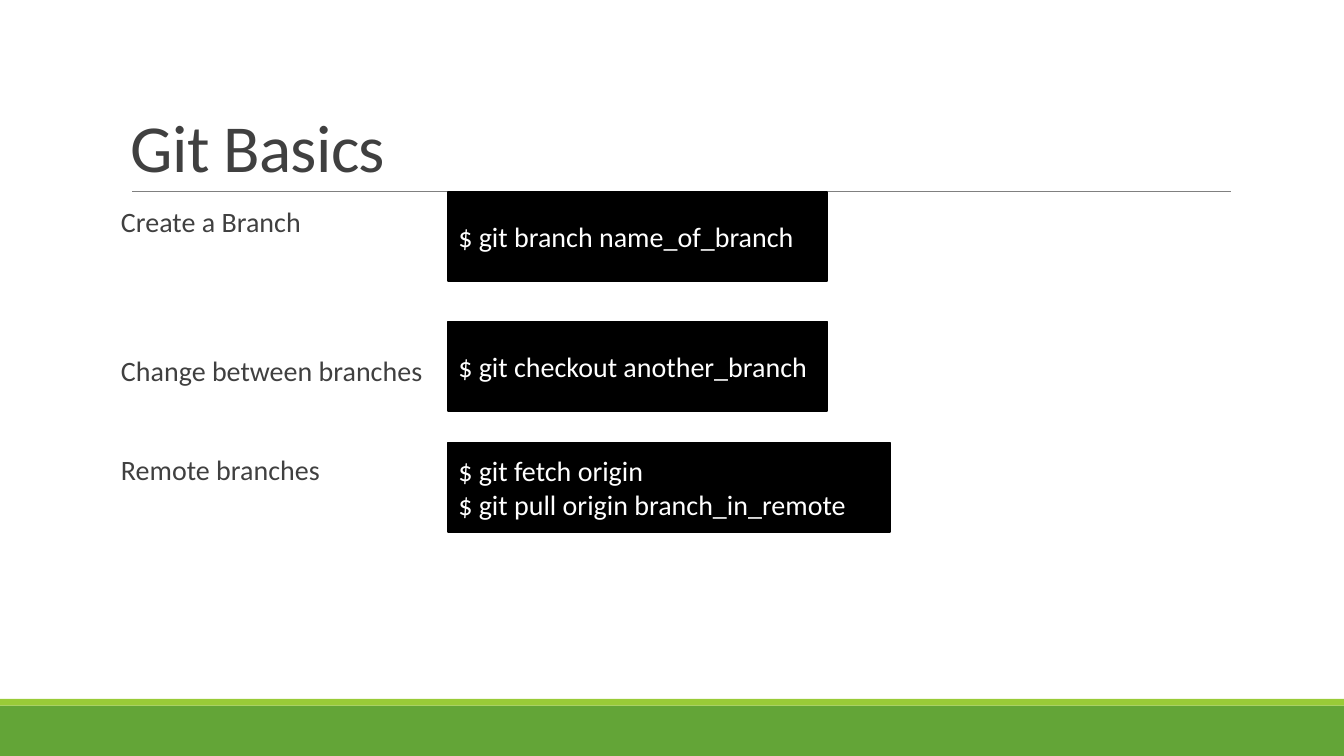
from lxml import etree
from pptx import Presentation
from pptx.dml.color import RGBColor
from pptx.enum.shapes import MSO_CONNECTOR as Connector, MSO_SHAPE as Preset
from pptx.enum.text import MSO_ANCHOR as Anchor, PP_ALIGN as Align
from pptx.oxml.ns import qn
from pptx.util import Cm, Pt

TITLE = "Git Basics"
LABELS = [
    ("Create a Branch", 0),
    ("Change between branches", 3),
    ("Remote branches", 5),
]
COMMANDS = [
    (["$ git branch name_of_branch"], 4.83, 9.55),
    (["$ git checkout another_branch"], 8.1, 9.55),
    (["$ git fetch origin", "$ git pull origin branch_in_remote"], 11.15, 11.13),
]
COLORS = {
    "text": "404040",
    "rule": "808080",
    "terminal": "000000",
    "command": "FFFFFF",
    "footer": "63A537",
    "stripe": "99CB38",
}
FONT = "Calibri"
WIDTH, HEIGHT = 33.87, 19.05
FOOTER_HEIGHT, STRIPE_HEIGHT = 1.27, 0.17
TEXT_LEFT, TEXT_WIDTH = 3.05, 27.94
LABEL_TOP, LABEL_PITCH, LABEL_HEIGHT = 5.13, 1.25, 1.1
COMMAND_LEFT, COMMAND_HEIGHT = 11.3, 2.26


def color(name):
    return RGBColor.from_string(COLORS[name])


def write(shape, lines, size=20, fill="text", anchor=Anchor.TOP,
          line_spacing=None, tracking=None, inset=0.25):
    frame = shape.text_frame
    frame.word_wrap = True
    frame.vertical_anchor = anchor
    frame.margin_left = frame.margin_right = Cm(inset)
    frame.margin_top = frame.margin_bottom = Cm(0.13)
    for index, line in enumerate(lines):
        paragraph = frame.add_paragraph() if index else frame.paragraphs[0]
        paragraph.alignment = Align.LEFT
        paragraph.line_spacing = line_spacing
        run = paragraph.add_run()
        run.text = line
        run.font.name = FONT
        run.font.size = Pt(size)
        run.font.color.rgb = color(fill)
        if tracking:
            run._r.get_or_add_rPr().set("spc", str(round(tracking * 100)))


def add_box(slide, left, top, width, height, fill, border=None):
    shape = slide.shapes.add_shape(
        Preset.RECTANGLE, Cm(left), Cm(top), Cm(width), Cm(height))
    shape.shadow.inherit = False
    shape.fill.solid()
    shape.fill.fore_color.rgb = color(fill)
    if border:
        shape.line.color.rgb = color(fill)
        shape.line.width = Pt(border)
    else:
        shape.line.fill.background()
    return shape


def add_text(slide, text, left, top, width, height, **style):
    box = slide.shapes.add_textbox(Cm(left), Cm(top), Cm(width), Cm(height))
    write(box, [text], **style)


def add_rule(slide, left, right, top):
    rule = slide.shapes.add_connector(
        Connector.STRAIGHT, Cm(left), Cm(top), Cm(right), Cm(top))
    rule.line.color.rgb = color("rule")
    rule.line.width = Pt(0.5)
    etree.SubElement(rule._element.spPr, qn("a:effectLst"))


def main():
    presentation = Presentation()
    presentation.slide_width = Cm(WIDTH)
    presentation.slide_height = Cm(HEIGHT)
    slide = presentation.slides.add_slide(presentation.slide_layouts[6])

    footer_top = HEIGHT - FOOTER_HEIGHT
    add_box(slide, 0, footer_top, WIDTH, FOOTER_HEIGHT, "footer")
    add_box(slide, 0, footer_top - STRIPE_HEIGHT, WIDTH, STRIPE_HEIGHT, "stripe")
    add_rule(slide, 3.33, 31.01, 4.83)
    add_text(slide, TITLE, TEXT_LEFT, 0.79, TEXT_WIDTH, 4.04, size=48,
             anchor=Anchor.BOTTOM, line_spacing=0.85, tracking=-0.5)

    for label, row in LABELS:
        add_text(slide, label, TEXT_LEFT, LABEL_TOP + row * LABEL_PITCH,
                 COMMAND_LEFT - TEXT_LEFT, LABEL_HEIGHT,
                 line_spacing=0.9, inset=0)

    for lines, top, width in COMMANDS:
        terminal = add_box(slide, COMMAND_LEFT, top, width, COMMAND_HEIGHT,
                           "terminal", border=1.25)
        write(terminal, lines, fill="command", anchor=Anchor.MIDDLE)

    presentation.save("out.pptx")


if __name__ == "__main__":
    main()
